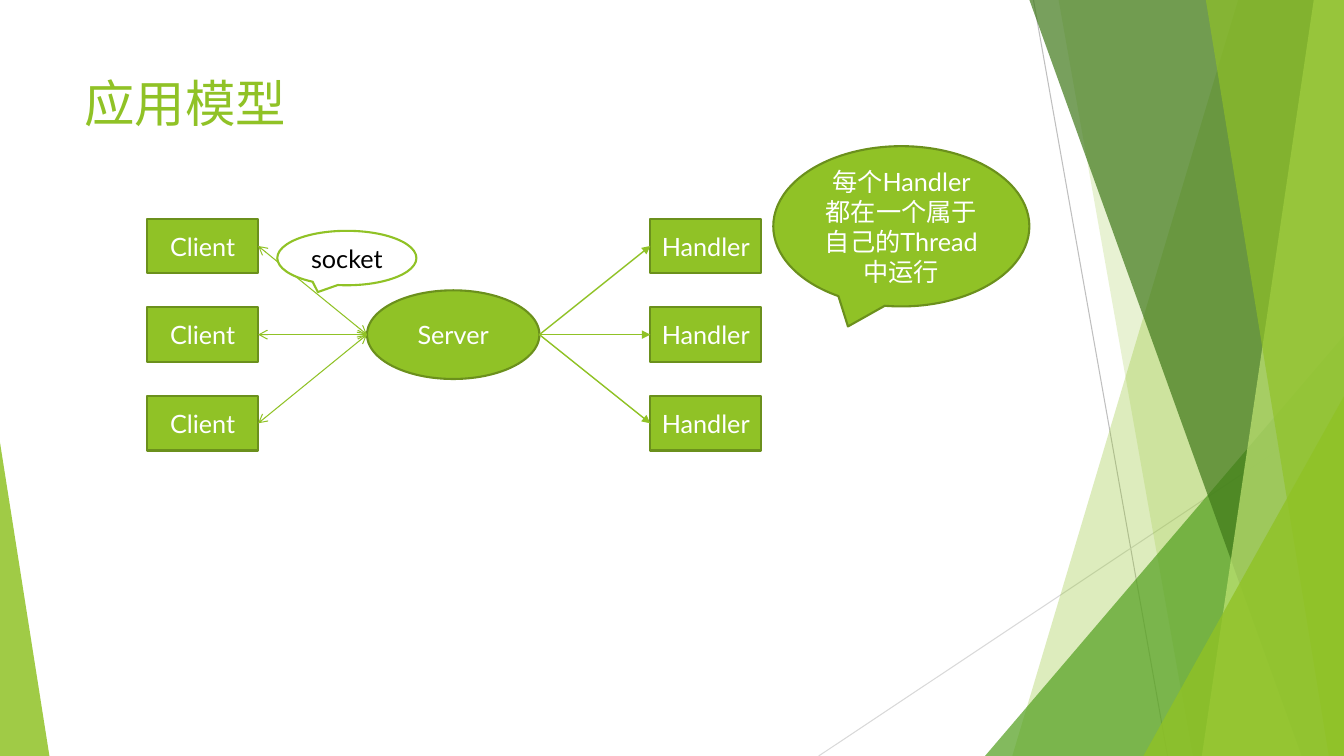
from lxml import etree
from pptx import Presentation
from pptx import util as u
from pptx.dml.color import RGBColor
from pptx.enum import shapes, text
from pptx.oxml.ns import qn

COLORS = {
    "green": "90C226", "edge": "6B901C", "leaf": "54A021", "forest": "3F7819",
    "lime": "C0E474", "white": "FFFFFF", "black": "000000",
    "gray": "BFBFBF", "pale": "D9D9D9",
}
KIND = shapes.MSO_SHAPE


def rgb(name):
    return RGBColor.from_string(COLORS[name])


class Deck:
    font = "Lato"

    def __init__(self, prs):
        self.s = prs.slides.add_slide(prs.slide_layouts[6])

    def paint(self, sp, fill, line=None, alpha=None):
        sp.shadow.inherit = False
        sp.fill.solid()
        sp.fill.fore_color.rgb = rgb(fill)
        if alpha:
            clr = sp._element.spPr.find(qn("a:solidFill"))[0]
            etree.SubElement(clr, qn("a:alpha")).set("val", str(alpha * 1000))
        if line:
            sp.line.color.rgb = rgb(line)
            sp.line.width = u.Pt(1.5)
        else:
            sp.line.fill.background()

    def label(self, sp, words, size, color, align, anchor):
        tf = sp.text_frame
        tf.word_wrap = True
        tf.vertical_anchor = anchor
        p = tf.paragraphs[0]
        p.text = words
        p.alignment = align
        p.font.name = self.font
        p.font.size = u.Pt(size)
        p.font.color.rgb = rgb(color)

    def title(self, words, *box):
        sp = self.s.shapes.add_textbox(*map(u.Inches, box))
        self.label(sp, words, 36, "green", text.PP_ALIGN.LEFT, text.MSO_ANCHOR.TOP)

    def node(self, kind, words, *box, fill="green", line="edge", color="white"):
        sp = self.s.shapes.add_shape(kind, *map(u.Inches, box))
        self.paint(sp, fill, line)
        self.label(sp, words, 18, color, text.PP_ALIGN.CENTER, text.MSO_ANCHOR.MIDDLE)

    def triangle(self, apex, fill, alpha, *box):
        sp = self.s.shapes.add_shape(KIND.ISOSCELES_TRIANGLE, *map(u.Inches, box))
        sp.adjustments[0] = apex
        self.paint(sp, fill, alpha=alpha)

    def band(self, top, bottom, fill, alpha):
        corners = [(top, 0), (13.33, 0), (13.33, 7.5), (bottom, 7.5)]
        points = [(u.Inches(x), u.Inches(y)) for x, y in corners]
        builder = self.s.shapes.build_freeform(*points[0])
        builder.add_line_segments(points[1:], close=True)
        self.paint(builder.convert_to_shape(), fill, alpha=alpha)

    def line(self, start, end, color, width, head=None, tail=None):
        c = self.s.shapes.add_connector(
            shapes.MSO_CONNECTOR.STRAIGHT, *map(u.Inches, start + end))
        c.line.color.rgb = rgb(color)
        c.line.width = u.Pt(width)
        ln = c._element.spPr.find(qn("a:ln"))
        for tag, kind in (("a:headEnd", head), ("a:tailEnd", tail)):
            if kind:
                etree.SubElement(ln, qn(tag)).set("type", kind)
        etree.SubElement(c._element.spPr, qn("a:effectLst"))


prs = Presentation()
prs.slide_width = u.Inches(13.33)
prs.slide_height = u.Inches(7.5)
deck = Deck(prs)

deck.line((10.25, 0), (11.58, 7.5), "gray", 0.75)
deck.line((13.33, 4.03), (8.12, 7.5), "pale", 0.75)
deck.band(12.28, 10.04, "green", 30)
deck.band(10.5, 11.83, "green", 20)
deck.triangle(1, "leaf", 72, 9.77, 3.33, 3.56, 4.17)
deck.band(10.21, 12.91, "forest", 70)
deck.band(13.03, 11.92, "lime", 70)
deck.band(11.96, 13.18, "green", 65)
deck.triangle(1, "green", 80, 11.34, 3.93, 1.99, 3.57)
deck.triangle(0, "green", 85, 0, 4.39, 0.49, 3.11)

deck.title("应用模型", 0.74, 0.67, 9.4, 1.44)

BOX_W, BOX_H = 1.1, 0.54
CLIENT_X, HANDLER_X = 1.46, 6.45
SERVER_X, SERVER_W, SERVER_Y = 3.64, 1.71, 3.32
rows = [2.17 + 0.88 * i for i in range(3)]

for role, x in (("Client", CLIENT_X), ("Handler", HANDLER_X)):
    for y in rows:
        deck.node(KIND.RECTANGLE, role, x, y, BOX_W, BOX_H)
deck.node(KIND.OVAL, "Server", SERVER_X, SERVER_Y - 0.44, SERVER_W, 0.88)

for y in rows:
    mid = y + BOX_H / 2
    deck.line((CLIENT_X + BOX_W, mid), (SERVER_X, SERVER_Y), "green", 0.75, "arrow", "arrow")
    deck.line((SERVER_X + SERVER_W, SERVER_Y), (HANDLER_X, mid), "green", 1, tail="triangle")

deck.node(KIND.OVAL_CALLOUT, "每个Handler都在一个属于自己的Thread中运行", 7.67, 1.45, 2.54, 1.59)
deck.node(KIND.OVAL_CALLOUT, "socket", 2.75, 2.29, 1.38, 0.54,
          fill="white", line="green", color="black")

prs.save("out.pptx")
